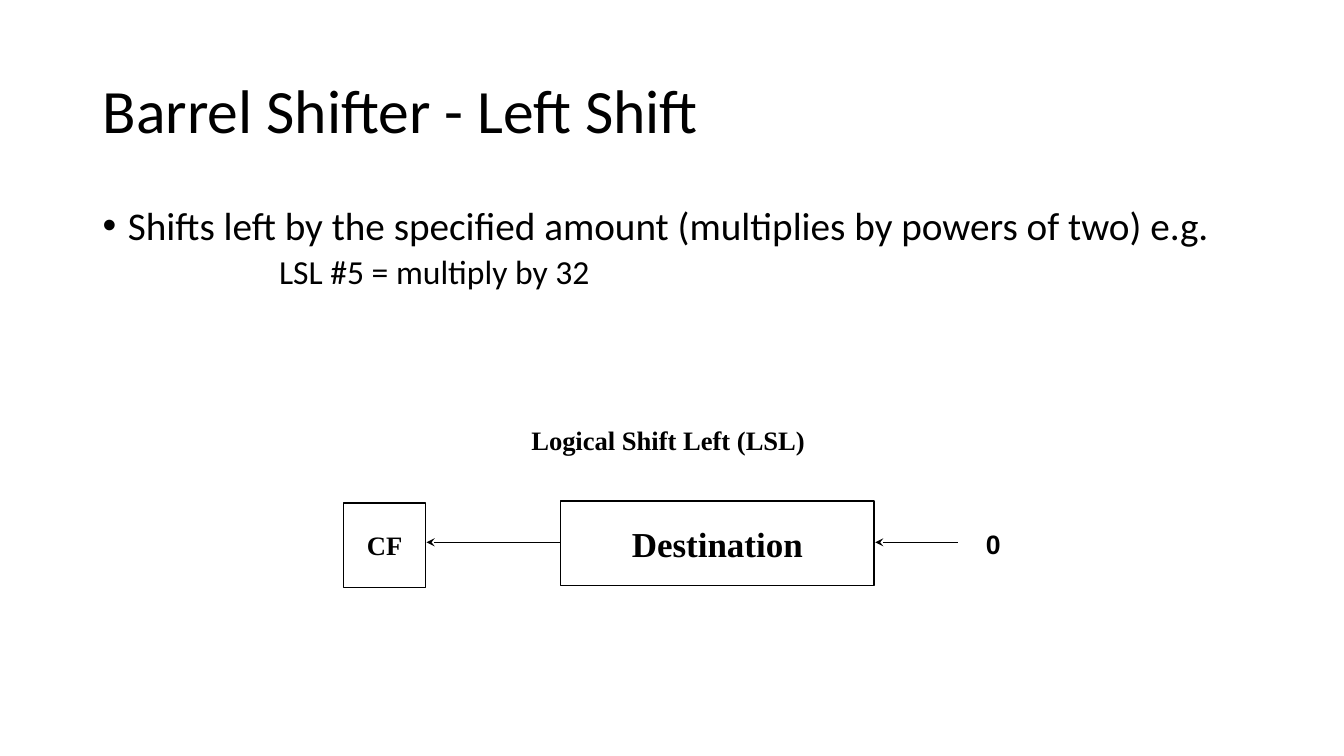
from dataclasses import dataclass

from lxml import etree
from pptx import Presentation
from pptx import util as u
from pptx.dml.color import RGBColor
from pptx.enum import shapes, text
from pptx.oxml import ns


@dataclass(frozen=True)
class Theme:
    ink: RGBColor = RGBColor(0, 0, 0)
    body_font: str = "Calibri"
    diagram_font: str = "Times New Roman"
    digit_font: str = "Arial"
    title: int = 44
    bullet: int = 28
    example: int = 24
    register: int = 25
    label: int = 19
    line: int = 1


THEME = Theme()
WIDTH, HEIGHT = 13.33, 7.5
MARGIN = 0.92
CONTENT_WIDTH = 11.5

TITLE = "Barrel Shifter - Left Shift"
# text, size, left margin, first-line indent, space before, bullet
BODY = [
    ("Shifts left by the specified amount (multiplies by powers of two) e.g.",
     THEME.bullet, 0.25, -0.25, 0, "•"),
    ("LSL #5 = multiply by 32", THEME.example, 1.75, 0, 5, None),
]
CAPTION = "Logical Shift Left (LSL)"
# text, size, left, top, width
BOXES = [
    ("Destination", THEME.register, 5.56, 4.97, 3.11),
    ("CF", THEME.label, 3.41, 4.99, 0.81),
]
BOX_HEIGHT = 0.84
SHIFTED_IN = "0"
ARROWS = [(5.55, 4.23), (9.5, 8.68)]  # from x, to x
ARROW_Y = 5.38


def style(paragraph, size, font, bold=False, spacing=0.9):
    paragraph.line_spacing = spacing
    paragraph.font.size = u.Pt(size)
    paragraph.font.name = font
    paragraph.font.bold = bold
    paragraph.font.color.rgb = THEME.ink


def set_insets(frame, across, down):
    frame.margin_left = frame.margin_right = u.Inches(across)
    frame.margin_top = frame.margin_bottom = u.Inches(down)


def add_text(slide, left, top, width, height, wrap=True, insets=(0.1, 0.05)):
    box = slide.shapes.add_textbox(*map(u.Inches, (left, top, width, height)))
    frame = box.text_frame
    frame.word_wrap = wrap
    set_insets(frame, *insets)
    return frame


def add_body(slide):
    frame = add_text(slide, MARGIN, 2, CONTENT_WIDTH, 4.76)
    for index, (words, size, margin, indent, before, bullet) in enumerate(BODY):
        paragraph = frame.add_paragraph() if index else frame.paragraphs[0]
        paragraph.text = words
        properties = paragraph._p.get_or_add_pPr()
        properties.set("marL", str(u.Inches(margin)))
        properties.set("indent", str(u.Inches(indent)))
        if bullet:
            font = etree.SubElement(properties, ns.qn("a:buFont"))
            font.set("typeface", THEME.digit_font)
            mark = etree.SubElement(properties, ns.qn("a:buChar"))
            mark.set("char", bullet)
        if before:
            paragraph.space_before = u.Pt(before)
        style(paragraph, size, THEME.body_font)


def add_box(slide, words, size, left, top, width):
    box = slide.shapes.add_shape(
        shapes.MSO_SHAPE.RECTANGLE,
        *map(u.Inches, (left, top, width, BOX_HEIGHT)))
    box.shadow.inherit = False
    box.fill.background()
    box.line.color.rgb = THEME.ink
    box.line.width = u.Pt(THEME.line)
    frame = box.text_frame
    frame.word_wrap = False
    frame.vertical_anchor = text.MSO_ANCHOR.MIDDLE
    set_insets(frame, 0.1, 0.05)
    paragraph = frame.paragraphs[0]
    paragraph.text = words
    paragraph.alignment = text.PP_ALIGN.CENTER
    style(paragraph, size, THEME.diagram_font, bold=True, spacing=1.0)


def add_arrow(slide, start, end):
    arrow = slide.shapes.add_connector(
        shapes.MSO_CONNECTOR.STRAIGHT,
        *map(u.Inches, (start, ARROW_Y, end, ARROW_Y)))
    arrow.line.color.rgb = THEME.ink
    arrow.line.width = u.Pt(THEME.line)
    head = etree.SubElement(arrow.line._get_or_add_ln(), ns.qn("a:tailEnd"))
    head.set("type", "stealth")
    etree.SubElement(arrow._element.spPr, ns.qn("a:effectLst"))


def main():
    presentation = Presentation()
    presentation.slide_width = u.Inches(WIDTH)
    presentation.slide_height = u.Inches(HEIGHT)
    slide = presentation.slides.add_slide(presentation.slide_layouts[6])

    add_body(slide)
    title = add_text(slide, MARGIN, 0.4, CONTENT_WIDTH, 1.45)
    title.vertical_anchor = text.MSO_ANCHOR.MIDDLE
    title.text = TITLE
    style(title.paragraphs[0], THEME.title, THEME.body_font)

    caption = add_text(slide, 5.2, 4.17, 3.34, 0.39, insets=(0.07, 0.03))
    caption.text = CAPTION
    style(caption.paragraphs[0], THEME.label, THEME.diagram_font, True, 1.02)

    for box in BOXES:
        add_box(slide, *box)
    for arrow in ARROWS:
        add_arrow(slide, *arrow)

    digit = add_text(slide, 9.68, 5.22, 0.36, 0.39, wrap=False)
    digit.text = SHIFTED_IN
    style(digit.paragraphs[0], THEME.label, THEME.digit_font, bold=True)

    presentation.save("out.pptx")


if __name__ == "__main__":
    main()
